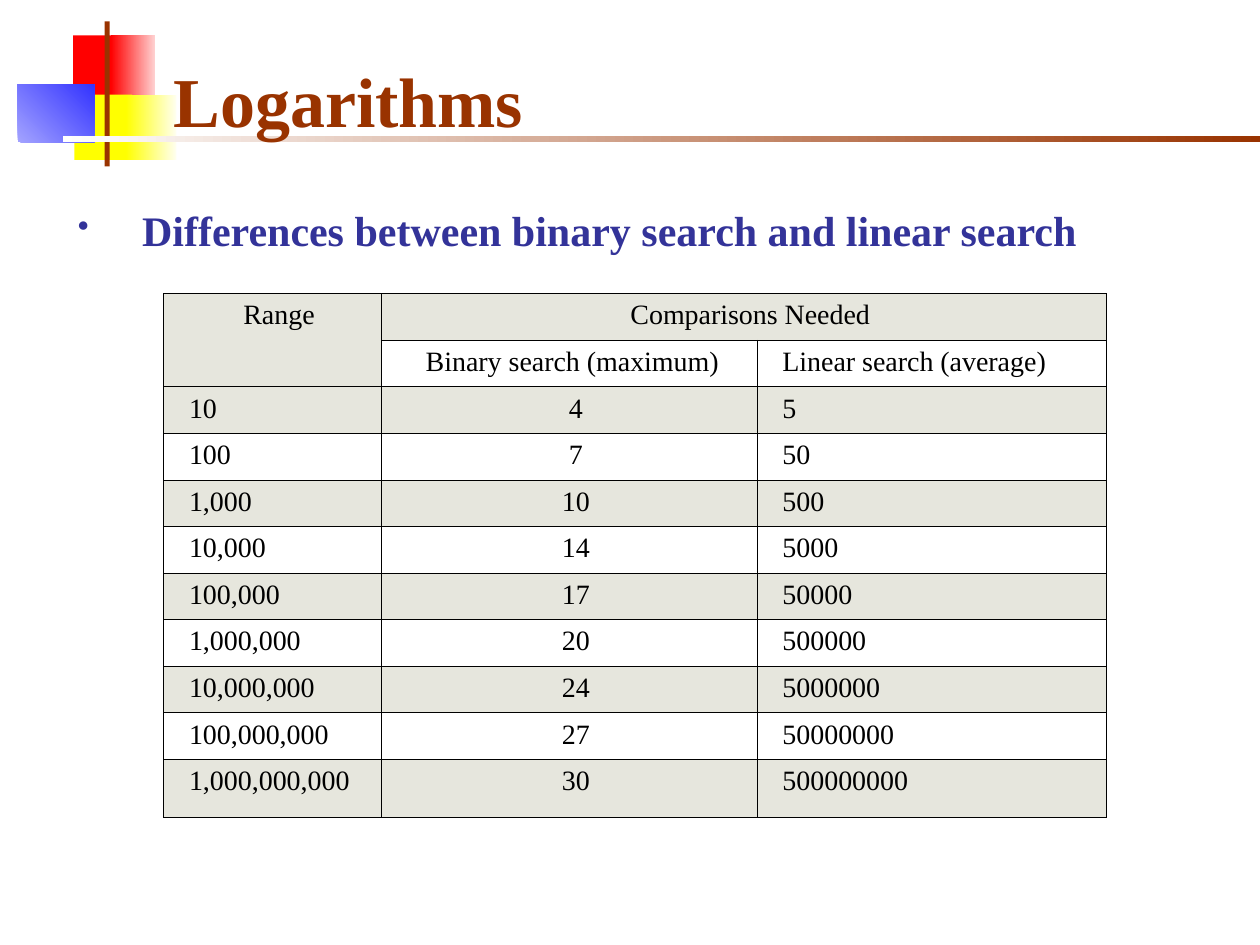
from lxml import etree
from pptx import Presentation
from pptx.dml.color import RGBColor
from pptx.enum.shapes import MSO_SHAPE
from pptx.enum.text import MSO_ANCHOR, PP_ALIGN
from pptx.oxml import parse_xml
from pptx.oxml.ns import nsdecls, qn
from pptx.util import Inches, Pt

COLORS = {
    "red": "FF0000", "pale_red": "FFD1D1",
    "yellow": "FFFF00", "pale_yellow": "FFFFEF",
    "blue": "3333FF", "pale_blue": "A3A3FF",
    "brown": "993300", "navy": "333399",
    "white": "FFFFFF", "black": "000000", "band": "E6E6DD",
}


def rgb(name):
    return RGBColor.from_string(COLORS[name])


def format_paragraph(p, size, color, bold=False, left=0, indent=0):
    """Set the font of every run and the paragraph's left margin and indent."""
    pPr = p._p.get_or_add_pPr()
    pPr.set("marL", str(Inches(left)))
    pPr.set("indent", str(Inches(indent)))
    for r in p.runs:
        r.font.name = "Times New Roman"
        r.font.size = Pt(size)
        r.font.bold = bold
        r.font.color.rgb = rgb(color)


prs = Presentation()
prs.slide_width, prs.slide_height = Inches(10), Inches(7.5)
s = prs.slides.add_slide(prs.slide_layouts[6])

# Title ornament: left, top, width, height, start colour, end colour, angle
ornament = [
    (0.58, 0.28, 0.36, 0.52, "red", None, 0),
    (0.88, 0.28, 0.35, 0.52, "red", "pale_red", 0),
    (0.59, 0.75, 0.46, 0.52, "yellow", None, 0),
    (1, 0.75, 0.4, 0.52, "yellow", "pale_yellow", 0),
    (0.14, 0.67, 0.61, 0.46, "pale_blue", "blue", 45),
    (0.83, 0.17, 0.04, 1.15, "brown", None, 0),
    (0.5, 1.08, 9.5, 0.05, "white", "brown", 0),
]
for left, top, width, height, start, end, angle in ornament:
    sp = s.shapes.add_shape(MSO_SHAPE.RECTANGLE, Inches(left), Inches(top),
                            Inches(width), Inches(height))
    sp.shadow.inherit = False
    sp.line.fill.background()
    if end is None:
        sp.fill.solid()
        sp.fill.fore_color.rgb = rgb(start)
    else:
        sp.fill.gradient()
        sp.fill.gradient_angle = angle
        for stop, position, color in zip(sp.fill.gradient_stops, (0, 1), (start, end)):
            stop.position = position
            stop.color.rgb = rgb(color)

# Title
tf = s.shapes.add_textbox(Inches(1.22), Inches(0.25), Inches(8.63), Inches(0.92)).text_frame
tf.word_wrap = True
tf.vertical_anchor = MSO_ANCHOR.BOTTOM
tf.text = "Logarithms"
p = tf.paragraphs[0]
p.line_spacing = Pt(48)
format_paragraph(p, 40, "brown", bold=True, left=0.06)

# Bullet line
tf = s.shapes.add_textbox(Inches(0.42), Inches(1.5), Inches(8.6), Inches(0.68)).text_frame
tf.word_wrap = True
tf.text = "Differences between binary search and linear search"
p = tf.paragraphs[0]
p.line_spacing = Pt(34)
format_paragraph(p, 24, "navy", bold=True, left=0.61, indent=-0.51)
pPr = p._p.get_or_add_pPr()
bullet_color = etree.SubElement(pPr, qn("a:buClr"))
etree.SubElement(bullet_color, qn("a:srgbClr"), val=COLORS["navy"])
etree.SubElement(pPr, qn("a:buSzPct"), val="77000")
etree.SubElement(pPr, qn("a:buChar"), char="•")

# Comparison table
rows = [
    ("Range", "Comparisons Needed", ""),
    ("", "Binary search (maximum) ", "Linear search (average)"),
    ("10", "4", "5"),
    ("100", "7", "50"),
    ("1,000", "10", "500"),
    ("10,000", "14", "5000"),
    ("100,000", "17", "50000"),
    ("1,000,000", "20", "500000"),
    ("10,000,000", "24", "5000000"),
    ("100,000,000", "27", "50000000"),
    ("1,000,000,000", "30", "500000000"),
]
table = s.shapes.add_table(len(rows), 3, Inches(1.3), Inches(2.33),
                           Inches(7.48), Inches(4.16)).table
table.first_row = table.horz_banding = False
for column, width in zip(table.columns, (1.73, 2.98, 2.77)):
    column.width = Inches(width)
for row in table.rows:
    row.height = Inches(0.37)
table.rows[len(rows) - 1].height = Inches(0.46)

for i, values in enumerate(rows):
    for j, value in enumerate(values):
        cell = table.cell(i, j)
        tcPr = cell._tc.get_or_add_tcPr()
        for side in ("lnL", "lnR", "lnT", "lnB"):
            tcPr.append(parse_xml(
                f'<a:{side} {nsdecls("a")} w="{Pt(0.45)}"><a:solidFill>'
                f'<a:srgbClr val="{COLORS["black"]}"/></a:solidFill></a:{side}>'))
        if i % 2 == 0:
            cell.fill.solid()
            cell.fill.fore_color.rgb = rgb("band")
        else:
            cell.fill.background()
        if value:
            cell.text_frame.text = value
            p = cell.text_frame.paragraphs[0]
            p.alignment = PP_ALIGN.CENTER if i == 0 or j == 1 else PP_ALIGN.LEFT
            format_paragraph(p, 16, "black", left=0.61, indent=-0.51)
table.cell(0, 0).merge(table.cell(1, 0))
table.cell(0, 1).merge(table.cell(0, 2))

prs.save("out.pptx")
